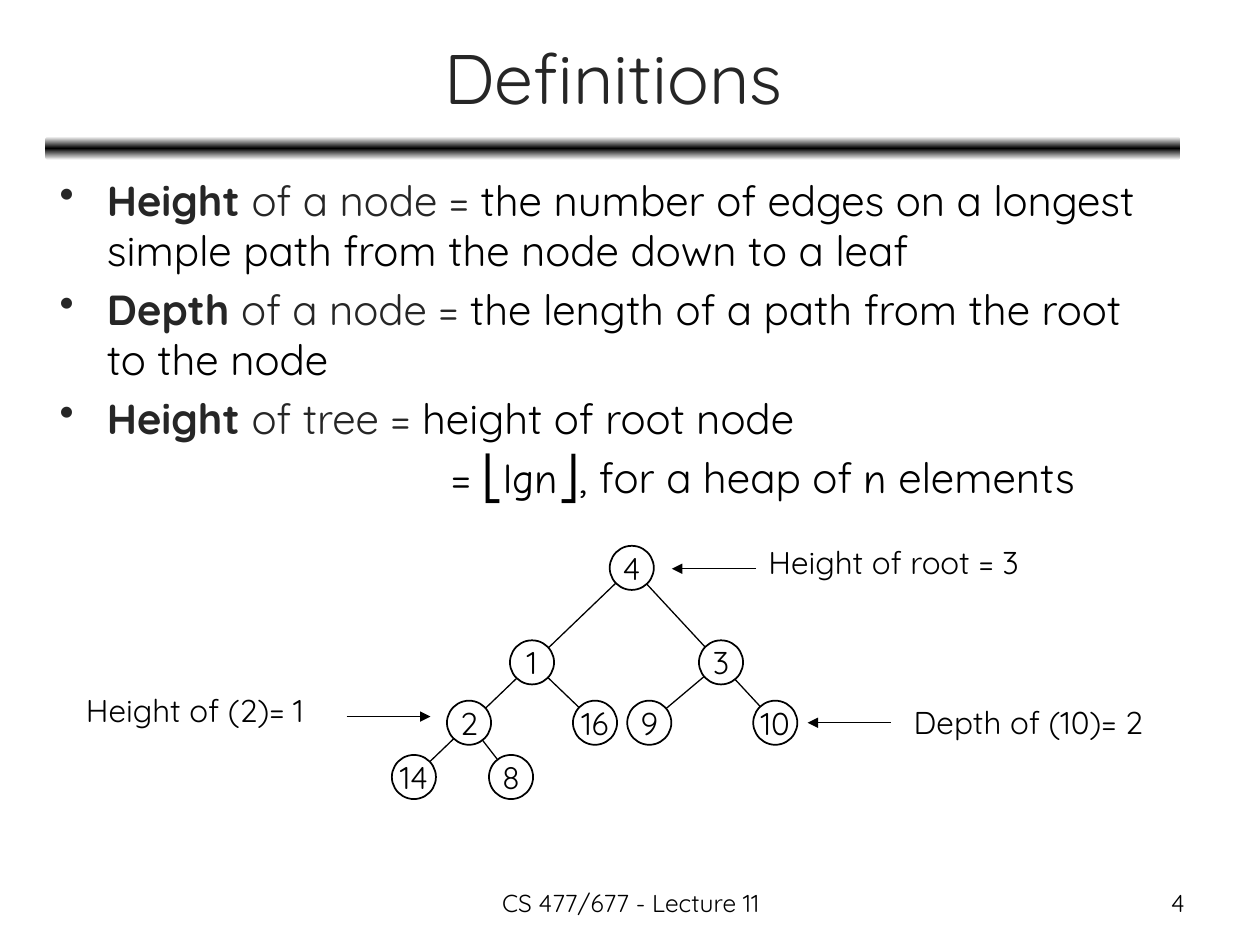
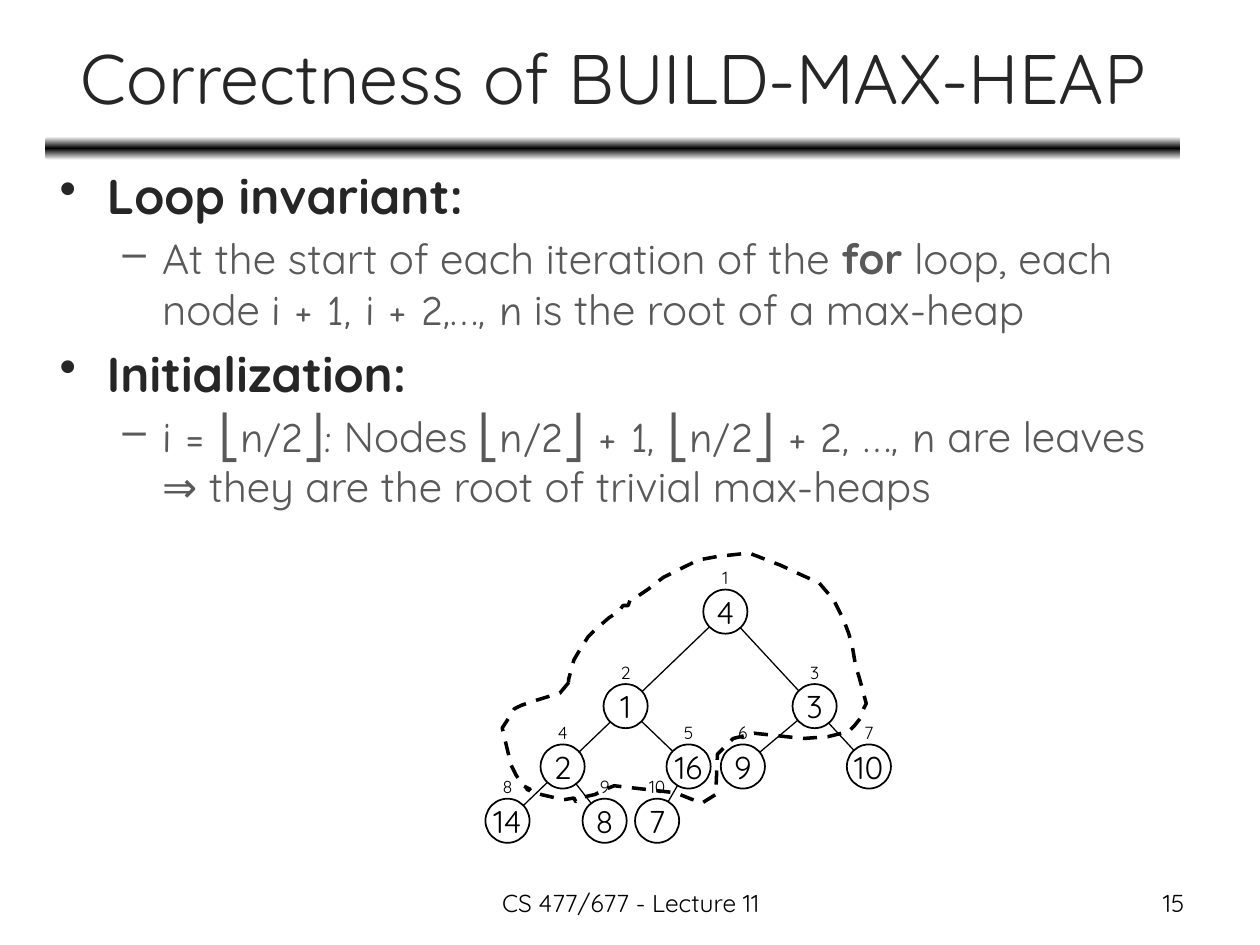
"""Builds two lecture slides on heaps: tree definitions and a loop invariant."""
from copy import deepcopy

from lxml import etree
from pptx import Presentation
from pptx.dml.color import RGBColor
from pptx.enum import dml, shapes, text
from pptx.oxml.ns import qn
from pptx.util import Pt

BLACK = RGBColor(0, 0, 0)
WHITE = RGBColor(255, 255, 255)
DARK = RGBColor(0x26, 0x26, 0x26)
GREY = RGBColor(0x59, 0x59, 0x59)
SANS, MATH = "Quicksand", "Comic Neue"
LEFT, MID, RIGHT = text.PP_ALIGN.LEFT, text.PP_ALIGN.CENTER, text.PP_ALIGN.RIGHT

FOOTER = "CS 477/677 - Lecture 11"
FOOT_BOX = (246.5, 504, 228, 25)
PAGE_BOX = (516.5, 504, 167.5, 25)
TITLE_BOX = (26.5, 8, 648, 71.5)
BAND_BOX = (26, 78, 648.5, 13.5)

STYLES = {
    "head": dict(size=28, color=DARK, bold=True),
    "key": dict(size=24, color=DARK, bold=True),
    "term": dict(size=24, color=DARK),
    "plain": dict(size=24, color=BLACK),
    "math": dict(size=24, color=BLACK, name=MATH),
    "sub": dict(size=24, color=GREY),
    "word": dict(size=24, color=GREY, bold=True),
    "form": dict(size=24, color=GREY, name=MATH),
}
# level: left margin, first-line indent, bullet
LEVELS = {"top": (27, -27, "•"), "sub": (58.5, -22.5, "–"), "cont": (223.5, 0, None)}

TERMS = [
    ("top", [("key", "Height "), ("term", "of a node = "),
             ("plain", "the number of edges on a longest simple path from the node down to a leaf")]),
    ("top", [("key", "Depth"), ("term", " of a node = "),
             ("plain", "the length of a path from the root to the node")]),
    ("top", [("key", "Height "), ("term", "of tree = "), ("plain", "height of root node")]),
    ("cont", [("plain", "= "), ("math", "⎣lgn⎦"), ("plain", ", for a heap of "),
              ("math", "n"), ("plain", " elements")]),
]
PROOF = [
    ("top", [("head", "Loop invariant:")]),
    ("sub", [("sub", "At the start of each iteration of the "), ("word", "for"),
             ("sub", " loop, each node "), ("form", "i + 1, i + 2,…, n"),
             ("sub", " is the root of a max-heap")]),
    ("top", [("head", "Initialization:")]),
    ("sub", [("form", "i = ⎣n/2⎦:"), ("sub", " Nodes "),
             ("form", "⎣n/2⎦ + 1, ⎣n/2⎦ + 2, …, n"),
             ("sub", " are leaves ⇒ they are the root of trivial max-heaps")]),
]

# heap values in array order, with node centres
HEAP = {4: (361, 324.5), 1: (304, 378.5), 3: (412, 378.5), 2: (268, 413), 16: (340, 413),
        9: (371, 413), 10: (443, 413), 14: (236.5, 444), 8: (292, 444), 7: (322, 444)}
EDGES = [(16, 7), (3, 9), (2, 8), (1, 16), (4, 10), (4, 14)]
NODE = 25.2
SHIFT = (53.5, 25)

# text, its box, arrow start and end
NOTES = [
    ("Height of root = 3", (432, 306.5, 166, 29), (432, 325), (384, 325)),
    ("Height of (2)= 1", (42, 391.5, 149, 29), (198, 409.5), (246, 409.5)),
    ("Depth of (10)= 2", (515, 398, 157, 29), (509, 413), (461.5, 413)),
]

LOOP = [
    (325, 390), (320, 396), (307, 400), (298, 403), (294, 405), (289, 413), (287, 416),
    (292, 437), (295, 443), (299, 449), (303, 451), (301, 451), (305, 453), (322, 457),
    (328, 456), (329, 458), (331, 456), (340, 454), (346, 451), (351, 449), (386, 453),
    (401, 459), (409, 454), (410, 431), (411, 430), (419, 422), (431, 419), (459, 422),
    (473, 421), (485, 418), (488, 415), (492, 410), (493, 406), (495, 402), (491, 387),
    (489, 381), (488, 375), (487, 369), (485, 362), (482, 354), (477, 344), (474, 340),
    (468, 333), (459, 329), (446, 323), (428, 316), (410, 318), (399, 320), (389, 325),
    (379, 330), (370, 337), (364, 341), (360, 343), (359, 346), (356, 346), (354, 349),
    (348, 353), (340, 360), (336, 364), (331, 372), (328, 377), (325, 388),
]


def pts(vals):
    return [Pt(v) for v in vals]


def style(font, size, color=BLACK, bold=False, name=SANS):
    for key, val in dict(size=Pt(size), bold=bold, name=name).items():
        setattr(font, key, val)
    font.color.rgb = color


def write(shape, words, size, align=LEFT, wrap=True, **look):
    frame = shape.text_frame
    frame.word_wrap = wrap
    para = frame.paragraphs[0]
    para.alignment = align
    run = para.add_run()
    run.text = words
    style(run.font, size, **look)


def label(slide, box, words, size, align=LEFT, wrap=True):
    write(slide.shapes.add_textbox(*pts(box)), words, size, align, wrap)


def line(slide, start, end, arrow=False):
    link = slide.shapes.add_connector(shapes.MSO_CONNECTOR.STRAIGHT, *pts(start + end))
    link.line.width = Pt(0.75)
    link.line.color.rgb = BLACK
    props = link._element.spPr
    if arrow:
        etree.SubElement(props.find(qn("a:ln")), qn("a:tailEnd"), type="triangle")
    etree.SubElement(props, qn("a:effectLst"))


def band(slide):
    bar = slide.shapes.add_shape(shapes.MSO_SHAPE.ROUNDED_RECTANGLE, *pts(BAND_BOX))
    bar.shadow.inherit = False
    bar.line.fill.background()
    bar.fill.gradient()
    bar.fill.gradient_angle = 90
    stops = bar._element.spPr.find(".//" + qn("a:gsLst"))
    stops.insert(1, deepcopy(stops[0]))
    for stop, place, color in zip(bar.fill.gradient_stops, (0, 0.5, 1), (WHITE, BLACK, WHITE)):
        stop.position = place
        stop.color.rgb = color


def page(deck, title, number):
    slide = deck.slides.add_slide(deck.slide_layouts[5])
    band(slide)
    label(slide, FOOT_BOX, FOOTER, 14, MID)
    label(slide, PAGE_BOX, str(number), 14, RIGHT)
    head = slide.shapes.title
    head.left, head.top, head.width, head.height = pts(TITLE_BOX)
    head.text_frame.auto_size = text.MSO_AUTO_SIZE.NONE
    head.text_frame.vertical_anchor = text.MSO_ANCHOR.MIDDLE
    write(head, title, 40, MID, color=DARK)
    return slide


def body(slide, box, items):
    frame = slide.shapes.add_textbox(*pts(box)).text_frame
    frame.word_wrap = True
    for num, (level, runs) in enumerate(items):
        para = frame.add_paragraph() if num else frame.paragraphs[0]
        margin, indent, mark = LEVELS[level]
        props = para._p.get_or_add_pPr()
        props.set("marL", str(Pt(margin)))
        props.set("indent", str(Pt(indent)))
        if num:
            para.space_before = Pt(STYLES[runs[0][0]]["size"] * 0.2)
        if mark:
            etree.SubElement(props, qn("a:buChar"), char=mark)
        for kind, words in runs:
            run = para.add_run()
            run.text = words
            style(run.font, **STYLES[kind])


def tree(slide, values, shift=(0, 0)):
    spots = {v: (HEAP[v][0] + shift[0], HEAP[v][1] + shift[1]) for v in values}
    for top, low in EDGES:
        if low in spots:
            line(slide, spots[top], spots[low])
    for value, (x, y) in spots.items():
        box = (x - NODE / 2, y - NODE / 2, NODE, NODE)
        node = slide.shapes.add_shape(shapes.MSO_SHAPE.OVAL, *pts(box))
        node.shadow.inherit = False
        node.fill.solid()
        node.fill.fore_color.rgb = WHITE
        node.line.color.rgb = BLACK
        node.line.width = Pt(1)
        node.text_frame.vertical_anchor = text.MSO_ANCHOR.MIDDLE
        write(node, str(value), 18, MID, wrap=False)
    return spots


def loop(slide):
    pen = slide.shapes.build_freeform(*LOOP[0], scale=Pt(1))
    pen.add_line_segments(LOOP[1:], close=True)
    ring = pen.convert_to_shape()
    ring.shadow.inherit = False
    ring.fill.background()
    ring.line.color.rgb = BLACK
    ring.line.width = Pt(2)
    ring.line.dash_style = dml.MSO_LINE.DASH


def main():
    deck = Presentation()
    deck.slide_width, deck.slide_height = Pt(720), Pt(540)

    slide = page(deck, "Definitions", 4)
    body(slide, (27, 96, 648, 200), TERMS)
    tree(slide, [v for v in HEAP if v != 7])
    for words, box, start, end in NOTES:
        label(slide, box, words, 18, wrap=False)
        line(slide, start, end, arrow=True)

    slide = page(deck, "Correctness of BUILD-MAX-HEAP", 15)
    body(slide, (27, 91, 654.5, 224), PROOF)
    spots = tree(slide, list(HEAP), SHIFT)
    for num, (x, y) in enumerate(spots.values(), 1):
        label(slide, (x - 12, y - 28.8, 24, 19.4), str(num), 10, MID, wrap=False)
    loop(slide)

    deck.save("out.pptx")


if __name__ == "__main__":
    main()
